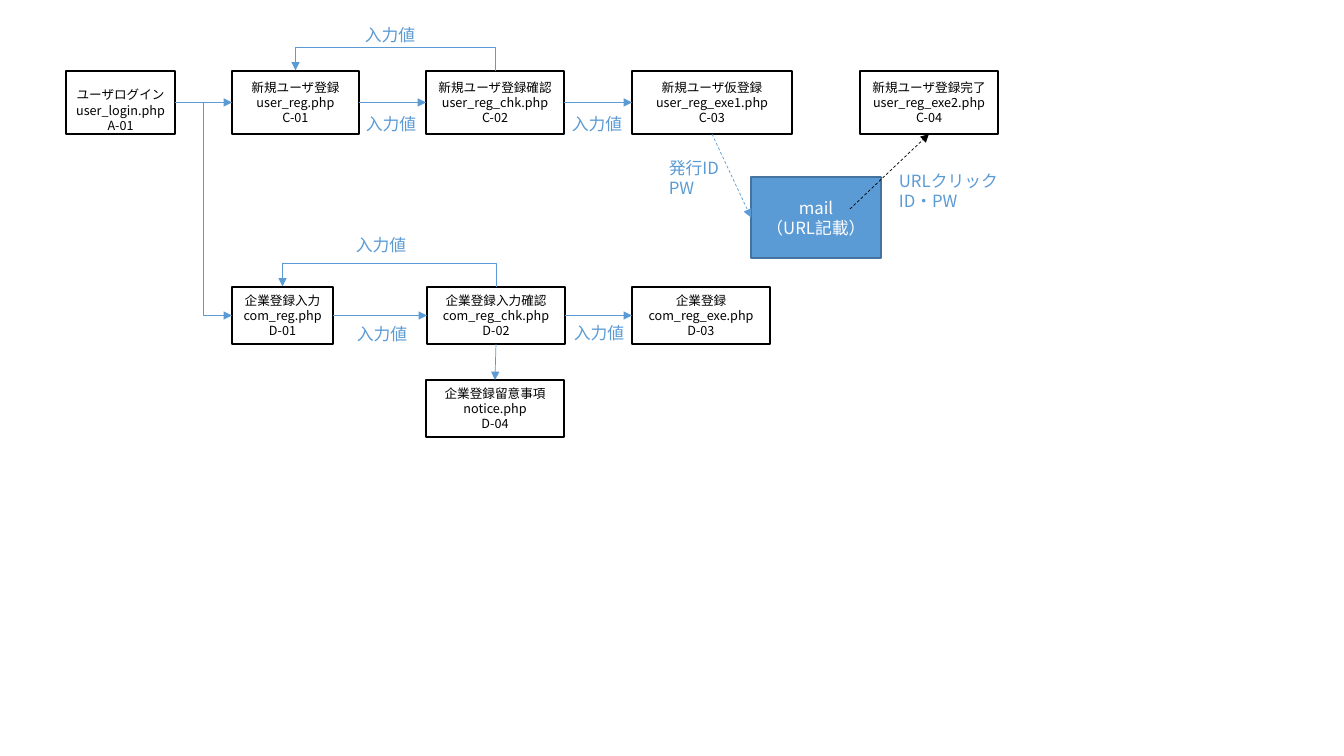
import pptx
import pptx.util
import pptx.dml.color
import pptx.enum.dml
import pptx.enum.shapes
import pptx.enum.text
import pptx.oxml.ns
import lxml.etree

BLACK = pptx.dml.color.RGBColor(0x00, 0x00, 0x00)
WHITE = pptx.dml.color.RGBColor(0xFF, 0xFF, 0xFF)
BLUE = pptx.dml.color.RGBColor(0x5B, 0x9B, 0xD5)
DARK_BLUE = pptx.dml.color.RGBColor(0x43, 0x73, 0x9E)
FONT = "Noto Sans CJK JP"
TOP, LEFT, BOTTOM, RIGHT = range(4)
STRAIGHT = pptx.enum.shapes.MSO_CONNECTOR.STRAIGHT
ELBOW = pptx.enum.shapes.MSO_CONNECTOR.ELBOW


def px(count):
    return pptx.util.Emu(round(count * 914400 / 100.8))


def add_element(parent, tag, **attributes):
    return lxml.etree.SubElement(parent, pptx.oxml.ns.qn(tag), attributes)


class FlowPage:
    def __init__(self, page):
        self.page = page

    def set_text(self, frame, lines, size, color, align):
        frame.word_wrap = True
        frame.text = "\n".join(lines)
        for para in frame.paragraphs:
            para.alignment = align
            para.font.size = pptx.util.Pt(size)
            para.font.name = FONT
            para.font.color.rgb = color
            add_element(para.font._element, "a:ea", typeface=FONT)

    def box(self, place, lines, size=9, color=BLACK, fill=None, edge=BLACK, inset_top=0):
        shape = self.page.shapes.add_shape(
            pptx.enum.shapes.MSO_SHAPE.RECTANGLE, *map(px, place))
        shape.shadow.inherit = False
        if fill is None:
            shape.fill.background()
        else:
            shape.fill.solid()
            shape.fill.fore_color.rgb = fill
        shape.line.color.rgb = edge
        shape.line.width = pptx.util.Pt(1)
        frame = shape.text_frame
        frame.margin_top, frame.margin_bottom = px(inset_top), 0
        frame.vertical_anchor = pptx.enum.text.MSO_ANCHOR.MIDDLE
        self.set_text(frame, lines, size, color, pptx.enum.text.PP_ALIGN.CENTER)
        return shape

    def label(self, left, top, lines=("入力値",), width=72, height=30):
        text_box = self.page.shapes.add_textbox(*map(px, (left, top, width, height)))
        self.set_text(text_box.text_frame, lines, 12, BLUE, pptx.enum.text.PP_ALIGN.LEFT)

    def arrow(self, kind, start, end, color=BLUE, dashed=False):
        connector = self.page.shapes.add_connector(kind, *start, *end)
        connector.line.color.rgb = color
        connector.line.width = pptx.util.Pt(0.5)
        if dashed:
            connector.line.dash_style = pptx.enum.dml.MSO_LINE.DASH
        add_element(connector.line._get_or_add_ln(), "a:tailEnd", type="triangle")
        add_element(connector._element.spPr, "a:effectLst")
        return connector

    def link(self, source, source_side, target, target_side, kind=STRAIGHT, dashed=False):
        connector = self.arrow(kind, (0, 0), (0, 0), dashed=dashed)
        connector.begin_connect(source, source_side)
        connector.end_connect(target, target_side)

    def loop_back(self, source, target, rise=24):
        """Arrow rising from the top of source and coming down on the top of target."""
        start = source.left + source.width // 2
        end = target.left + target.width // 2
        middle, half_span, half_step = (start + end) // 2, (start - end) // 2, px(1) // 2
        connector = self.arrow(
            ELBOW,
            (middle - half_step, source.top + half_span),
            (middle + half_step, source.top - half_span))
        properties = connector._element.spPr
        properties.find(pptx.oxml.ns.qn("a:xfrm")).set("rot", str(270 * 60000))
        geometry = properties.find(pptx.oxml.ns.qn("a:prstGeom"))
        guides = geometry.find(pptx.oxml.ns.qn("a:avLst"))
        add_element(guides, "a:gd", name="adj1", fmla=f"val {rise * 100000}")


def main():
    deck = pptx.Presentation()
    deck.slide_width, deck.slide_height = px(1344), px(756)
    flow = FlowPage(deck.slides.add_slide(deck.slide_layouts[6]))

    user_top, user_height = 71, 63
    company_top, company_height = 287, 57
    login = flow.box((66, user_top, 109, user_height),
                     ["ユーザログイン", "user_login.php", "A-01"], inset_top=15)
    user_steps = [flow.box((left, user_top, width, user_height), lines) for left, width, lines in (
        (232, 127, ["新規ユーザ登録user_reg.php", "C-01"]),
        (426, 138, ["新規ユーザ登録確認", "user_reg_chk.php", "C-02"]),
        (632, 160, ["新規ユーザ仮登録user_reg_exe1.php", "C-03"]),
        (860, 138, ["新規ユーザ登録完了user_reg_exe2.php", "C-04"]),
    )]
    company_steps = [
        flow.box((left, company_top, width, company_height), lines) for left, width, lines in (
            (232, 101, ["企業登録入力", "com_reg.php", "D-01"]),
            (427, 138, ["企業登録入力確認", "com_reg_chk.php", "D-02"]),
            (632, 138, ["企業登録com_reg_exe.php", "D-03"]),
        )]
    notice = flow.box((426, 380, 138, company_height),
                      ["企業登録留意事項", "notice.php", "D-04"])
    mail = flow.box((751, 177, 130, 81), ["mail", "（URL記載）"],
                    size=12, color=WHITE, fill=BLUE, edge=DARK_BLUE)

    for steps in (user_steps[:3], company_steps):
        for source, target in zip(steps, steps[1:]):
            flow.link(source, RIGHT, target, LEFT)
        flow.loop_back(steps[1], steps[0])
    flow.link(login, RIGHT, user_steps[0], LEFT)
    flow.link(login, RIGHT, company_steps[0], LEFT, kind=ELBOW)
    flow.link(company_steps[1], BOTTOM, notice, TOP)
    flow.link(user_steps[2], BOTTOM, mail, LEFT, dashed=True)
    to_finish = flow.arrow(STRAIGHT, (px(850), px(209)), (0, 0), color=BLACK, dashed=True)
    to_finish.end_connect(user_steps[3], BOTTOM)

    for left, top in ((356, 109), (355, 20), (562, 109), (347, 319), (346, 230), (564, 318)):
        flow.label(left, top)
    flow.label(659, 153, ["発行ID", "PW"], height=50)
    flow.label(889, 166, ["URLクリック", "ID・PW"], width=122, height=50)

    deck.save("out.pptx")


if __name__ == "__main__":
    main()
